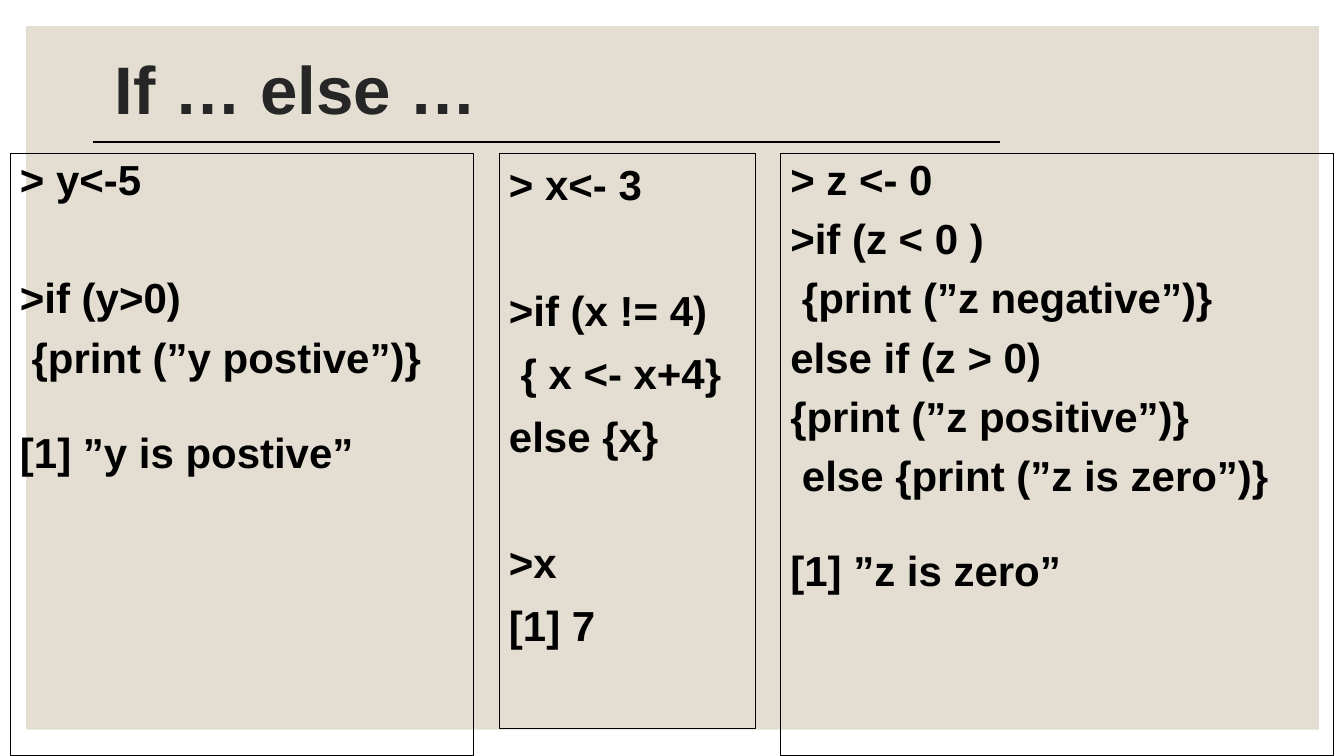
"""Build the slide that shows if and else statements in R."""
from lxml import etree
from pptx import Presentation
from pptx.dml.color import RGBColor
from pptx.enum import shapes, text
from pptx.oxml import ns
from pptx.util import Inches, Pt

FONT = "Arial"
BEIGE = RGBColor(0xE3, 0xDE, 0xD1)
CHARCOAL = RGBColor(0x26, 0x26, 0x26)
BLACK = RGBColor(0, 0, 0)

HEADING = "If … else …"
PANEL_TOP = 1.52

PANELS = [
    {"left": 4.95, "width": 2.54, "height": 5.71, "line_height": 36, "gap": 9,
     "blocks": [["> x<- 3"],
                [">if (x != 4)", " { x <- x+4}", "else {x}"],
                [">x", "[1] 7"]],
     "block_gaps": [0, 54, 54]},
    {"left": 0.1, "width": 4.6, "height": 5.98, "line_height": 32.4, "gap": 10,
     "blocks": [["> y<-5"],
                [">if (y>0)", " {print (”y postive”)}"],
                ["[1] ”y is postive”"]],
     "block_gaps": [0, 52.4, 35.4]},
    {"left": 7.74, "width": 5.49, "height": 5.98, "line_height": 32.4, "gap": 10,
     "blocks": [["> z <- 0", ">if (z < 0 )", " {print (”z negative”)}",
                 "else if (z > 0)", "{print (”z positive”)}",
                 " else {print (”z is zero”)}"],
                ["[1] ”z is zero”"]],
     "block_gaps": [0, 35.4]},
]


def style(paragraph, size, color):
    """Set the bold font of a left-aligned paragraph."""
    paragraph.alignment = text.PP_ALIGN.LEFT
    paragraph.font.name = FONT
    paragraph.font.size = Pt(size)
    paragraph.font.bold = True
    paragraph.font.color.rgb = color


def add_panel(slide, panel):
    """Add one outlined box of code."""
    box = slide.shapes.add_textbox(Inches(panel["left"]), Inches(PANEL_TOP),
                                   Inches(panel["width"]), Inches(panel["height"]))
    box.line.color.rgb = BLACK
    box.line.width = Pt(0.75)
    frame = box.text_frame
    frame.word_wrap = True
    code = [(line, panel["gap"] if i else block_gap)
            for block, block_gap in zip(panel["blocks"], panel["block_gaps"])
            for i, line in enumerate(block)]
    for i, (line, gap) in enumerate(code):
        paragraph = frame.add_paragraph() if i else frame.paragraphs[0]
        paragraph.text = line
        paragraph.line_spacing = Pt(panel["line_height"])
        paragraph.space_before = Pt(gap)
        style(paragraph, 30, BLACK)


def main():
    """Assemble and save the slide."""
    deck = Presentation()
    deck.slide_width, deck.slide_height = Inches(13.33), Inches(7.5)
    slide = deck.slides.add_slide(deck.slide_layouts[5])

    heading = slide.shapes.title
    heading.left, heading.top = Inches(1.04), Inches(0.17)
    heading.width, heading.height = Inches(11), Inches(1.5)
    heading.text_frame.text = HEADING
    heading.text_frame.auto_size = text.MSO_AUTO_SIZE.NONE
    heading.text_frame.vertical_anchor = text.MSO_ANCHOR.MIDDLE
    heading.text_frame.paragraphs[0].line_spacing = 0.9
    style(heading.text_frame.paragraphs[0], 48, CHARCOAL)

    backdrop = slide.shapes.add_shape(shapes.MSO_SHAPE.RECTANGLE, Inches(0.26),
                                      Inches(0.26), Inches(12.82), Inches(6.98))
    backdrop.shadow.inherit = False
    backdrop.fill.solid()
    backdrop.fill.fore_color.rgb = BEIGE
    backdrop.line.fill.background()
    heading.element.addprevious(backdrop.element)

    rule = slide.shapes.add_connector(shapes.MSO_CONNECTOR.STRAIGHT, Inches(0.92),
                                      Inches(1.41), Inches(9.92), Inches(1.41))
    rule.line.color.rgb = BLACK
    rule.line.width = Pt(1)
    etree.SubElement(rule.element.spPr, ns.qn("a:effectLst"))

    for panel in PANELS:
        add_panel(slide, panel)
    deck.save("out.pptx")


if __name__ == "__main__":
    main()
